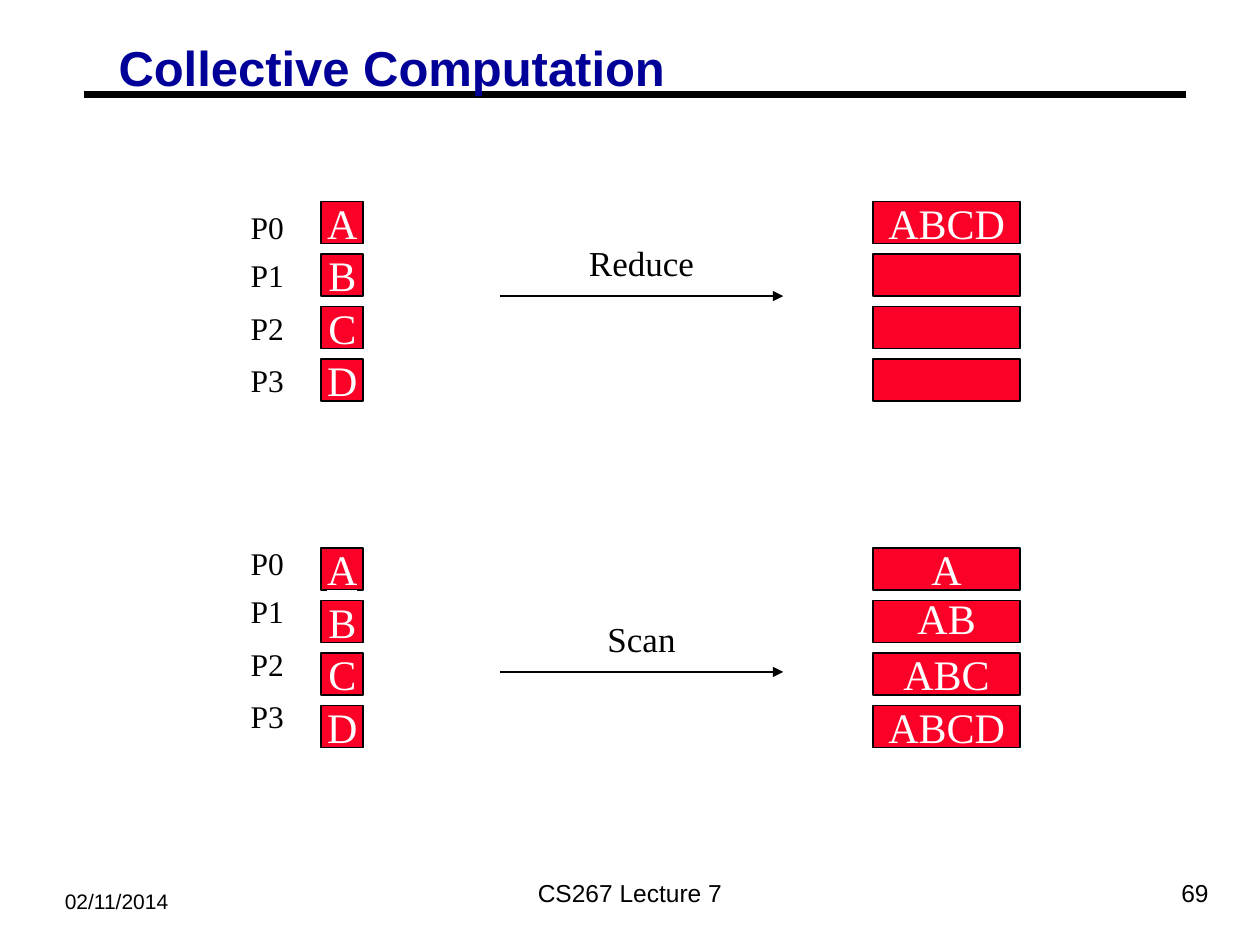
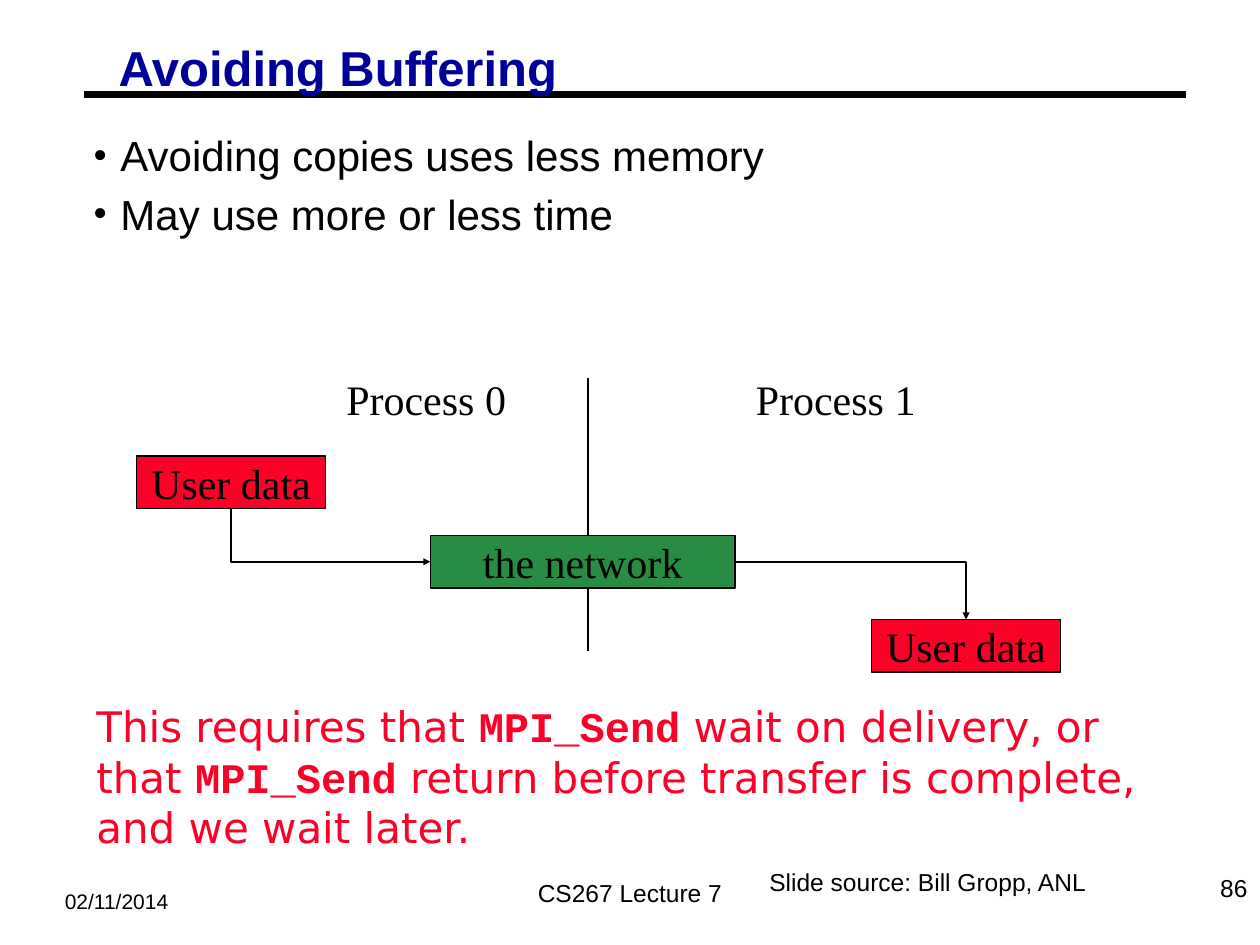
from dataclasses import dataclass

import pptx
import pptx.dml.color
import pptx.enum.shapes
import pptx.enum.text
import pptx.oxml
import pptx.oxml.ns
import pptx.util
from lxml import etree

ALIGN = pptx.enum.text.PP_ALIGN
ANCHOR = pptx.enum.text.MSO_ANCHOR
CONNECTOR = pptx.enum.shapes.MSO_CONNECTOR
TOP, LEFT, BOTTOM, RIGHT = range(4)
qn = pptx.oxml.ns.qn


@dataclass(frozen=True)
class Theme:
    black: str = "000000"
    white: str = "FFFFFF"
    navy: str = "000099"
    red: str = "FC0128"
    green: str = "288C43"
    sans: str = "Arial"
    serif: str = "Times New Roman"
    code: str = "Courier New"
    note: str = "DejaVu Sans"
    title: int = 28
    body: int = 24
    step: int = 20
    label: int = 18
    footer: int = 14
    date: int = 12


T = Theme()
COLS, ROWS = 120, 90  # grid units of a twelfth of an inch
PITCH, CELL = 5, 4    # row step and cell height in the process diagrams


def u(n):
    return pptx.util.Inches(n / 12)


def rgb(color):
    return pptx.dml.color.RGBColor.from_string(color)


# Text
def write(p, text, *, size=T.body, font=T.serif, color=T.black, bold=False, underline=False):
    r = p.add_run()
    r.text = text
    r.font.size, r.font.name = pptx.util.Pt(size), font
    r.font.color.rgb = rgb(color)
    r.font.bold, r.font.underline = bold, underline


def frame(sp, wrap=False, anchor=ANCHOR.TOP, inset=(0.1, 0.05), align=ALIGN.LEFT):
    tf = sp.text_frame
    tf.word_wrap, tf.vertical_anchor = wrap, anchor
    tf.margin_left = tf.margin_right = pptx.util.Inches(inset[0])
    tf.margin_top = tf.margin_bottom = pptx.util.Inches(inset[1])
    tf.paragraphs[0].alignment = align
    return tf


def text_box(s, x, y, w, h, text="", *, wrap=False, anchor=ANCHOR.TOP,
             inset=(0.1, 0.05), align=ALIGN.LEFT, **fmt):
    tf = frame(s.shapes.add_textbox(u(x), u(y), u(w), u(h)), wrap, anchor, inset, align)
    if text:
        write(tf.paragraphs[0], text, **fmt)
    return tf


def bullets(s, x, y, w, h, items):
    tf = text_box(s, x, y, w, h, wrap=True, inset=(0.07, 0.03))
    for i, item in enumerate(items):
        p = tf.add_paragraph() if i else tf.paragraphs[0]
        pPr = p._p.get_or_add_pPr()
        indent = pptx.util.Inches(0.22)
        pPr.set("marL", str(indent))
        pPr.set("indent", str(-indent))
        etree.SubElement(pPr, qn("a:buFont")).set("typeface", T.serif)
        etree.SubElement(pPr, qn("a:buChar")).set("char", "•")
        if i:
            p.space_before = pptx.util.Pt(4.5)
        write(p, item, font=T.sans)


# Shapes and lines
def box(s, x, y, w, h, text="", fill=T.red, **fmt):
    sp = s.shapes.add_shape(pptx.enum.shapes.MSO_SHAPE.RECTANGLE, u(x), u(y), u(w), u(h))
    sp.shadow.inherit = False
    sp.fill.solid()
    sp.fill.fore_color.rgb = rgb(fill)
    sp.line.color.rgb, sp.line.width = rgb(T.black), pptx.util.Pt(1)
    if text:
        tf = frame(sp, anchor=ANCHOR.MIDDLE, align=ALIGN.CENTER)
        write(tf.paragraphs[0], text, **fmt)
    return sp


def line(s, x1, y1, x2, y2, width=1, head=None, kind=CONNECTOR.STRAIGHT):
    c = s.shapes.add_connector(kind, u(x1), u(y1), u(x2), u(y2))
    c.line.color.rgb, c.line.width = rgb(T.black), pptx.util.Pt(width)
    if head:
        tail = etree.SubElement(c.line._get_or_add_ln(), qn("a:tailEnd"))
        for key, value in (("type", "triangle"), ("w", head), ("len", head)):
            tail.set(key, value)
    etree.SubElement(c._element.spPr, qn("a:effectLst"))
    return c


def elbow(s, start, start_side, end, end_side):
    """Arrow with a single corner between two boxes."""
    c = line(s, 0, 0, 1, 1, head="sm", kind=CONNECTOR.ELBOW)
    c.begin_connect(start, start_side)
    c.end_connect(end, end_side)
    spPr = c._element.spPr
    spPr.find(qn("a:prstGeom")).set("prst", "bentConnector2")
    if start_side == BOTTOM:  # the preset runs across first, so turn it to run down first
        w, h = c.width, c.height
        c.left, c.top = c.left + (w - h) // 2, c.top + (h - w) // 2
        c.width, c.height = h, w
        xfrm = spPr.find(qn("a:xfrm"))
        xfrm.set("rot", str(270 * 60000))
        xfrm.set("flipH", "1")


# Shared slide furniture
def new_slide(prs, title, number, number_at):
    s = prs.slides.add_slide(prs.slide_layouts[6])
    line(s, 8, 9, 113, 9, width=3.75)
    text_box(s, 5, 84, 23, 3.6, "02/11/2014", wrap=True, size=T.date, font=T.sans)
    footer = dict(anchor=ANCHOR.MIDDLE, size=T.footer, font=T.sans)
    text_box(s, 41, 82, 38, 6, "CS267 Lecture 7", align=ALIGN.CENTER, **footer)
    text_box(s, *number_at, 25, 6, number, align=ALIGN.RIGHT, **footer)
    tf = text_box(s, 10.45, 4, 54, 5.5, title, inset=(0.07, 0.03),
                  size=T.title, font=T.sans, color=T.navy, bold=True)
    tf.paragraphs[0].line_spacing = 0.87
    return s


def collective(s, name, top, label_top, arrow_y, results, underlined=""):
    """Four processes, their data, and the result of one operation."""
    for i, (datum, result) in enumerate(zip("ABCD", results)):
        y = top + i * PITCH
        label_y = label_top + i * PITCH - (0.4 if i else 0)
        text_box(s, 22.7, label_y, 7, 4.8, f"P{i}", size=T.label)
        box(s, 30.6, y, CELL, CELL, datum, color=T.white, underline=datum in underlined)
        box(s, 83.15, y, 14, CELL, "" if i else result, color=T.white)
        if i and result:  # later results float over their cells, the second a little higher
            text_box(s, 83.15, y - (1.4 if i == 1 else 1), 14, 6, result,
                     align=ALIGN.CENTER, color=T.white)
    line(s, 47.6, arrow_y, 74.6, arrow_y, head="med")
    text_box(s, 47.6, arrow_y - 5.8, 27, 5.3, name, align=ALIGN.CENTER, size=T.step)


def collective_slide(prs):
    s = new_slide(prs, "Collective Computation", "69", (91.3, 82))
    collective(s, "Reduce", 19.2, 19.2, 28.2, ["ABCD", "", "", ""])
    collective(s, "Scan", 52.2, 51.2, 64, ["A", "AB", "ABC", "ABCD"], underlined=["A"])


def buffering_slide(prs):
    s = new_slide(prs, "Avoiding Buffering", "86", (95, 81.55))
    bullets(s, 8, 12, 108.7, 11.2,
            ["Avoiding copies uses less memory", "May use more or less time"])

    # Red remark with code names
    p = text_box(s, 8, 66.15, 104, 19, wrap=True).paragraphs[0]
    remark = ["This requires that ", "MPI_Send", " wait on delivery, or that ",
              "MPI_Send", " return before transfer is complete, and we wait later."]
    for i, part in enumerate(remark):
        is_code = i % 2 == 1
        write(p, part, font=T.code if is_code else T.note, color=T.red, bold=is_code)

    # Data path between the two processes
    for i, x in enumerate((31.8, 70.8)):
        text_box(s, x, 35, 17.6, 6, f"Process {i}")
    line(s, 56, 36, 56, 62)
    sender = box(s, 13, 43.45, 18, PITCH, "User data")
    receiver = box(s, 83, 59, 18, PITCH, "User data")
    network = box(s, 41, 51, 29, PITCH, "the network", fill=T.green)
    elbow(s, sender, BOTTOM, network, LEFT)
    elbow(s, network, RIGHT, receiver, TOP)
    text_box(s, 72.1, 82, 32.6, 4, "Slide source: Bill Gropp, ANL",
             size=T.footer, font=T.sans)


def main():
    prs = pptx.Presentation()
    prs.slide_width, prs.slide_height = u(COLS), u(ROWS)
    collective_slide(prs)
    buffering_slide(prs)
    prs.save("out.pptx")


if __name__ == "__main__":
    main()
